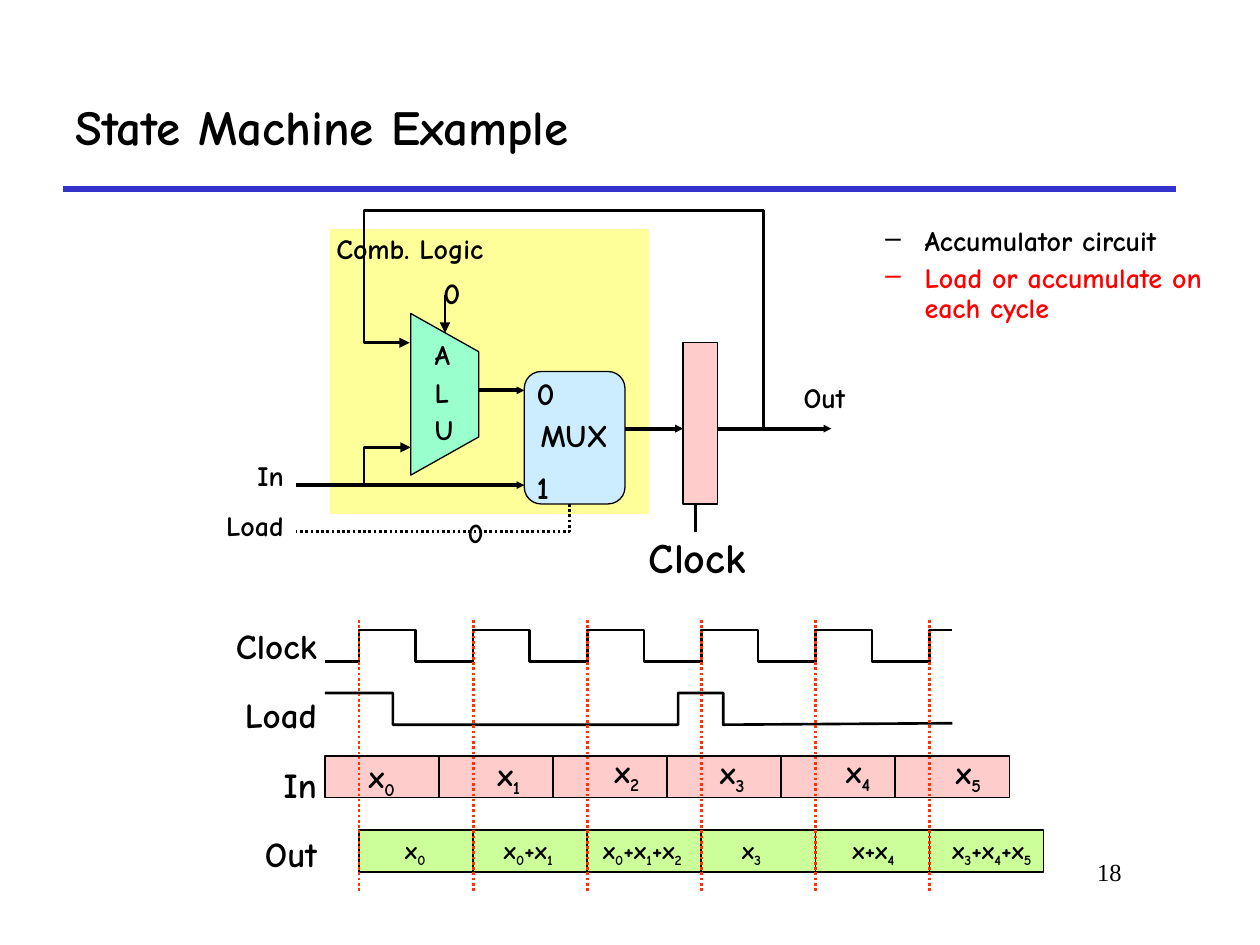
from dataclasses import dataclass
from typing import NamedTuple

import pptx
import pptx.util
import pptx.dml.color
import pptx.enum.dml
import pptx.enum.shapes
import pptx.enum.text
import pptx.oxml.ns
from lxml import etree

Cm, Pt = pptx.util.Cm, pptx.util.Pt
Align = pptx.enum.text.PP_ALIGN
Anchor = pptx.enum.text.MSO_ANCHOR
Kind = pptx.enum.shapes.MSO_SHAPE
Point = tuple[float, float]


@dataclass(frozen=True)
class Theme:
    font: str = "Comic Neue"
    serif: str = "Times New Roman"
    ink: str = "000000"
    rule: str = "3333CC"
    alert: str = "FF0000"
    tick: str = "FF3300"
    yellow: str = "FFFF99"
    mint: str = "99FFCC"
    blue: str = "CCECFF"
    pink: str = "FFCCCC"
    lime: str = "CCFF99"
    title: int = 28
    huge: int = 24
    large: int = 20
    mid: int = 18
    zero: int = 17
    body: int = 16
    small: int = 14
    thin: float = 0.75
    cell: float = 1
    wire: float = 1.5
    bus: float = 2.25


class Box(NamedTuple):
    x: float
    y: float
    w: float
    h: float


class Label(NamedTuple):
    text: str
    box: Box
    size: int
    format: dict = {}


T = Theme()


class Wire(NamedTuple):
    points: list[Point]
    width: float = T.wire
    head: bool = False
    dots: bool = False


PITCH, COUNT = 2.3, 6
START, EDGE = 6.55, 7.24

deck = pptx.Presentation()
deck.slide_width, deck.slide_height = Cm(25.4), Cm(19.05)
slide = deck.slides.add_slide(deck.slide_layouts[6])
shapes = slide.shapes


def tone(code: str) -> pptx.dml.color.RGBColor:
    return pptx.dml.color.RGBColor.from_string(code)


def write(shape, text: str, *, size: int, font=T.font, bold=True, align=Align.LEFT,
          anchor=Anchor.TOP, pad=0.25, snug=False, leading=0.9, gap=4):
    """Fill a shape with lines of text; an underscore lowers the next letter.

    Snug text may run up to the right edge of its shape.
    """
    frame = shape.text_frame
    frame.word_wrap, frame.vertical_anchor = True, anchor
    frame.margin_left, frame.margin_right = Cm(pad), Cm(0 if snug else pad)
    frame.margin_top = frame.margin_bottom = Cm(0.13)
    for i, line in enumerate(text.split("\n")):
        para = frame.add_paragraph() if i else frame.paragraphs[0]
        para.alignment, para.line_spacing = align, leading
        if i:
            para.space_before = Pt(gap)
        head, *rest = line.split("_")
        parts = [(head, False)]
        for part in rest:
            parts += [(part[:1], True), (part[1:], False)]
        for part, low in parts:
            if not part:
                continue
            run = para.add_run()
            run.text = part
            run.font.size, run.font.name, run.font.bold = Pt(size), font, bold
            run.font.color.rgb = tone(T.ink)
            if low:
                run._r.get_or_add_rPr().set("baseline", "-25000")
    return frame


def label(item: Label):
    shape = shapes.add_textbox(*map(Cm, item.box))
    return write(shape, item.text, size=item.size, **item.format)


def block(box: Box, fill: str, width: float = T.thin, kind=Kind.RECTANGLE):
    shape = shapes.add_shape(kind, *map(Cm, box))
    paint(shape, fill, width)
    return shape


def paint(shape, fill: str, width: float) -> None:
    shape.shadow.inherit = False
    if fill:
        shape.fill.solid()
        shape.fill.fore_color.rgb = tone(fill)
    else:
        shape.fill.background()
    if width:
        shape.line.color.rgb = tone(T.ink)
        shape.line.width = Pt(width)
    else:
        shape.line.fill.background()


def outline(points: list[Point], closed: bool):
    first, *rest = [(Cm(x), Cm(y)) for x, y in points]
    pen = shapes.build_freeform(*first)
    pen.add_line_segments(rest, close=closed)
    return pen.convert_to_shape()


def draw(wire: Wire, color: str = T.ink) -> None:
    """Draw a straight connector, or an open outline if the wire bends."""
    if len(wire.points) == 2:
        ends = [Cm(v) for point in wire.points for v in point]
        shape = shapes.add_connector(pptx.enum.shapes.MSO_CONNECTOR.STRAIGHT, *ends)
        etree.SubElement(shape._element.spPr, pptx.oxml.ns.qn("a:effectLst"))
    else:
        shape = outline(wire.points, False)
        paint(shape, "", wire.width)
    shape.line.color.rgb = tone(color)
    shape.line.width = Pt(wire.width)
    if wire.dots:
        shape.line.dash_style = pptx.enum.dml.MSO_LINE.ROUND_DOT
    if wire.head:
        span = "sm" if wire.width == T.bus else "med"
        etree.SubElement(shape.line._get_or_add_ln(), pptx.oxml.ns.qn("a:tailEnd"),
                         type="triangle", w=span, len=span)


def dash(para, color: str) -> None:
    """Give a paragraph a coloured dash as its bullet."""
    props = para._p.get_or_add_pPr()
    props.set("marL", str(Cm(0.79)))
    props.set("indent", str(-Cm(0.79)))
    tint = etree.SubElement(props, pptx.oxml.ns.qn("a:buClr"))
    etree.SubElement(tint, pptx.oxml.ns.qn("a:srgbClr"), val=color)
    etree.SubElement(props, pptx.oxml.ns.qn("a:buChar"), char="–")
    for run in para.runs:
        run.font.color.rgb = tone(color)


def circuit() -> None:
    free, right = {"snug": True}, {"align": Align.RIGHT}
    tight = {"snug": True, "pad": 0.13}
    write(block(Box(6.65, 4.62, 6.43, 5.74), T.yellow, 0), "Comb. Logic", size=T.body, **tight)
    for wire in (Wire([(14.48, 8.64), (16.76, 8.64)], T.bus, True),
                 Wire([(8.97, 5.94), (8.97, 6.71)], T.thin, True),
                 Wire([(5.97, 9.78), (10.57, 9.78)], T.bus, True),
                 Wire([(9.65, 7.87), (10.57, 7.87)], T.bus, True),
                 Wire([(12.4, 8.64), (13.77, 8.64)], T.bus, True),
                 Wire([(11.48, 10.16), (11.48, 10.72), (5.97, 10.72)], dots=True)):
        draw(wire)
    alu = outline([(8.28, 6.32), (9.65, 7.09), (9.65, 8.81), (8.28, 9.58)], True)
    paint(alu, T.mint, T.thin)
    mux = block(Box(10.57, 7.49, 2.03, 2.67), T.blue, kind=Kind.ROUNDED_RECTANGLE)
    write(mux, "MUX", size=T.mid, align=Align.CENTER, anchor=Anchor.MIDDLE, pad=0)
    block(Box(13.77, 6.91, 0.69, 3.25), T.pink)
    for wire in (Wire([(7.34, 9.78), (7.34, 9.02), (8.28, 9.02)], head=True),
                 Wire([(14.02, 10.16), (14.02, 10.72)]),
                 Wire([(14.48, 8.64), (15.39, 8.64), (15.39, 4.24), (7.34, 4.24),
                       (7.34, 6.91), (8.26, 6.91)], head=True)):
        draw(wire)
    for item in (Label("A\nL\nU", Box(8.51, 6.76, 1.14, 2.39), T.body),
                 Label("0", Box(8.69, 5.49, 0.89, 0.91), T.zero, free),
                 Label("Out", Box(15.95, 7.62, 1.37, 0.86), T.body, free),
                 Label("0", Box(10.57, 7.49, 1.37, 0.97), T.mid),
                 Label("1", Box(10.57, 9.4, 1.37, 0.97), T.mid),
                 Label("Clock", Box(12.95, 10.69, 2.24, 1.17), T.huge, tight),
                 Label("In", Box(3.68, 9.19, 2.29, 0.86), T.body, right),
                 Label("Load", Box(3.18, 10.19, 2.79, 0.86), T.body, right),
                 Label("0", Box(9.3, 10.34, 0.58, 0.86), T.body, tight)):
        label(item)


def timing() -> None:
    low, high = 13.34, 12.7
    wave = [(0, low), (0.69, low), (0.69, high), (1.83, high), (1.83, low),
            (2.99, low), (2.99, high), (3.45, high)]
    for i in range(COUNT - 1):
        draw(Wire([(START + PITCH * i + x, y) for x, y in wave]))
    draw(Wire([(6.55, 13.97), (7.92, 13.97), (7.92, 14.61), (13.67, 14.61), (13.67, 13.97),
               (14.58, 13.97), (14.58, 14.61), (19.2, 14.58)]))
    for left, top, fill in ((START, 15.24, T.pink), (EDGE, 16.74, T.lime)):
        cells = [block(Box(left + PITCH * i, top, PITCH, 0.84), fill, T.cell)
                 for i in range(COUNT)]
        if fill == T.pink:
            write(cells[0], "x_0", size=T.mid, align=Align.CENTER,
                  anchor=Anchor.MIDDLE, pad=0.13)
    for i, name in enumerate(("Clock", "Load", "In", "Out")):
        label(Label(name, Box(4.01, 12.55 + 1.4 * i, 2.51, 1.04), T.large,
                    {"align": Align.RIGHT, "pad": 0.13}))
    for i in range(COUNT):
        x = EDGE + PITCH * i
        draw(Wire([(x, 12.5), (x, 18.01)], dots=True), T.tick)
    inputs = ((9.78, 15.11), (12.14, 15.04), (14.27, 15.06), (16.81, 15.04), (19.02, 15.06))
    for i, (x, y) in enumerate(inputs, 1):
        label(Label(f"x_{i}", Box(x, y, 1.05, 1.04), T.mid, {"snug": True}))
    for text, x, w in (("x_0", 7.92, 0.91), ("x_0+x_1", 9.91, 1.47),
                       ("x_0+x_1+x_2", 11.91, 2.08), ("x_3", 14.71, 0.89),
                       ("x+x_4", 16.94, 1.35), ("x_3+x_4+x_5", 18.95, 2.11)):
        label(Label(text, Box(x, 16.71, w, 0.86), T.small, {"snug": True}))


def main() -> None:
    draw(Wire([(1.27, 3.81), (23.7, 3.81)], 3), T.rule)
    label(Label("State Machine Example", Box(1.27, 1.27, 22.43, 2.54), T.title,
                {"anchor": Anchor.MIDDLE, "leading": 1.0}))
    label(Label("18", Box(19.25, 17.15, 3.61, 1.27), T.small,
                {"font": T.serif, "bold": False, "align": Align.RIGHT, "leading": 1.0}))
    circuit()
    timing()
    notes = label(Label("Accumulator circuit\nLoad or accumulate on each cycle",
                        Box(17.6, 4.45, 7.16, 5.92), T.body))
    for para, color in zip(notes.paragraphs, (T.ink, T.alert)):
        dash(para, color)
    deck.save("out.pptx")


if __name__ == "__main__":
    main()
